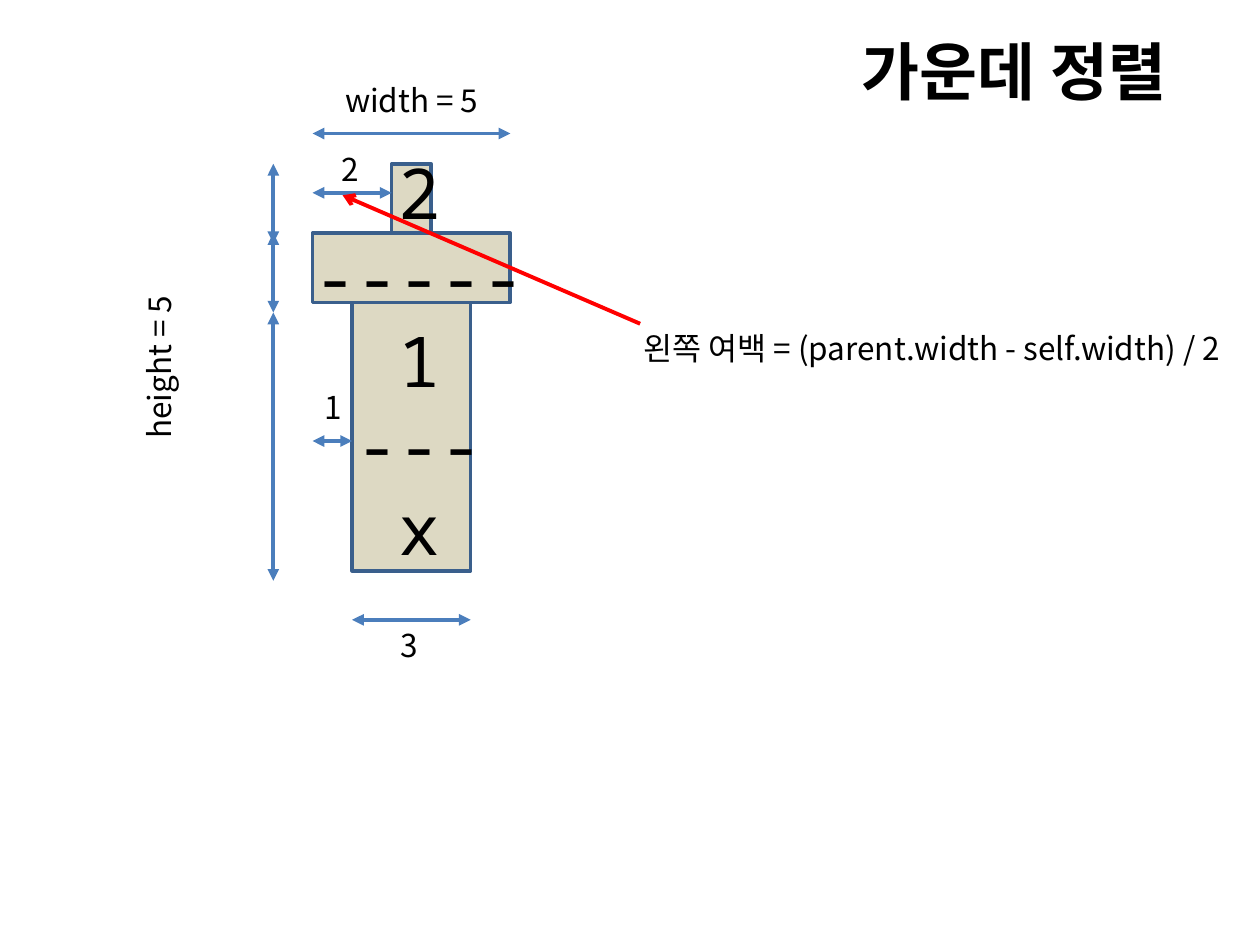
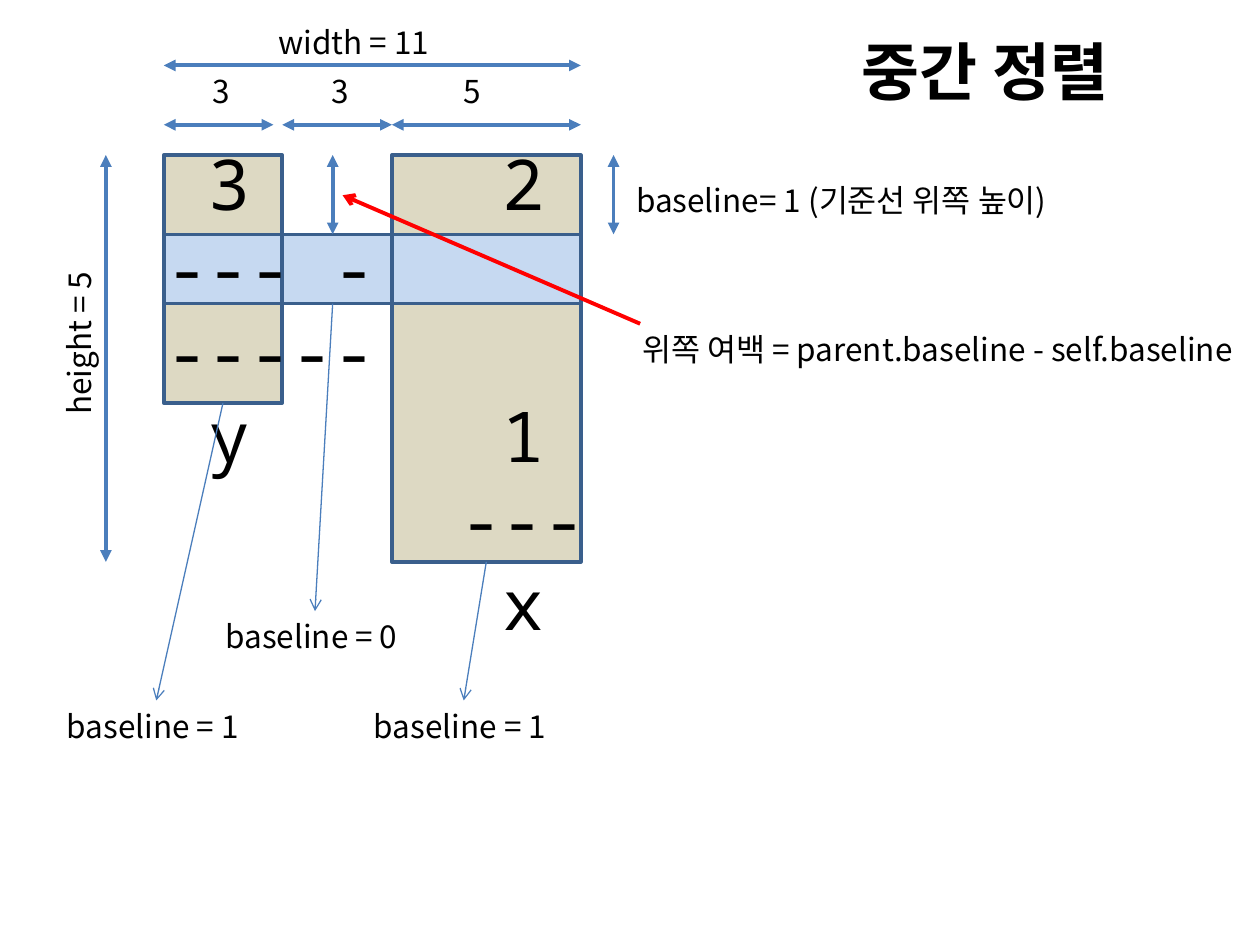
import dataclasses
import lxml.etree
import pptx
import pptx.dml.color
import pptx.enum.shapes
import pptx.enum.text
import pptx.oxml.ns
import pptx.util

Pt = pptx.util.Pt
qn = pptx.oxml.ns.qn


@dataclasses.dataclass(frozen=True)
class Theme:
    ink: str = "000000"
    block: str = "DDD9C3"
    band: str = "C6D9F1"
    outline: str = "3A5F8C"
    measure: str = "4B7EBC"
    accent: str = "FF0000"
    sans: str = "Noto Sans CJK KR"
    mono: str = "Noto Sans Mono"
    title_size: int = 36
    label_size: int = 18
    grid_size: int = 40
    label_height: float = 28.8
    digit_width: float = 24.5
    outline_width: float = 2
    measure_width: float = 2.25
    pointer_width: float = 0.75
    character: float = 24


class Diagram:
    def __init__(self, deck, theme):
        self.deck = deck
        self.theme = theme
        self.slide = None

    def start(self, title, width):
        self.slide = self.deck.slides.add_slide(self.deck.slide_layouts[5])
        heading = self.slide.shapes.title
        heading.left, heading.top, heading.width, heading.height = (
            Pt(485.3), Pt(15.1), Pt(width), Pt(51.1))
        frame = self.prepare(heading, False)
        self.add_words(frame.paragraphs[0], title, self.theme.title_size, self.theme.sans, True)

    def prepare(self, holder, wrap):
        frame = holder.text_frame
        frame.word_wrap = wrap
        frame.auto_size = pptx.enum.text.MSO_AUTO_SIZE.SHAPE_TO_FIT_TEXT
        frame.vertical_anchor = pptx.enum.text.MSO_ANCHOR.TOP
        frame.paragraphs[0].alignment = pptx.enum.text.PP_ALIGN.LEFT
        return frame

    def add_words(self, paragraph, words, size, face, bold=False):
        run = paragraph.add_run()
        run.text = words
        run.font.size = Pt(size)
        run.font.bold = bold
        run.font.color.rgb = pptx.dml.color.RGBColor.from_string(self.theme.ink)
        run.font.name = face
        lxml.etree.SubElement(run._r.get_or_add_rPr(), qn("a:ea"), typeface=face)

    def label(self, words, left, top, width=None, rotation=0):
        box = self.slide.shapes.add_textbox(
            Pt(left), Pt(top), Pt(width or self.theme.digit_width), Pt(self.theme.label_height))
        box.rotation = rotation
        frame = self.prepare(box, False)
        self.add_words(frame.paragraphs[0], words, self.theme.label_size, self.theme.sans)

    def character_grid(self, rows, left, top, width, height):
        box = self.slide.shapes.add_textbox(Pt(left), Pt(top), Pt(width), Pt(height))
        frame = self.prepare(box, True)
        for index, row in enumerate(rows):
            paragraph = frame.paragraphs[0] if index == 0 else frame.add_paragraph()
            columns = [column for column, words in row if column]
            if columns:
                stops = lxml.etree.SubElement(paragraph._p.get_or_add_pPr(), qn("a:tabLst"))
                for column in columns:
                    lxml.etree.SubElement(
                        stops, qn("a:tab"),
                        pos=str(int(Pt(column * self.theme.character))), algn="l")
            for column, words in row:
                self.add_words(paragraph, ("\t" if column else "") + words,
                               self.theme.grid_size, self.theme.mono)

    def block(self, left, top, width, height, color=None):
        shape = self.slide.shapes.add_shape(
            pptx.enum.shapes.MSO_SHAPE.RECTANGLE, Pt(left), Pt(top), Pt(width), Pt(height))
        shape.shadow.inherit = False
        shape.fill.solid()
        shape.fill.fore_color.rgb = pptx.dml.color.RGBColor.from_string(color or self.theme.block)
        shape.line.color.rgb = pptx.dml.color.RGBColor.from_string(self.theme.outline)
        shape.line.width = Pt(self.theme.outline_width)

    def line(self, start, end, color, width, **ends):
        connector = self.slide.shapes.add_connector(
            pptx.enum.shapes.MSO_CONNECTOR.STRAIGHT, *map(Pt, start + end))
        connector.line.color.rgb = pptx.dml.color.RGBColor.from_string(color)
        connector.line.width = Pt(width)
        properties = connector.element.spPr
        stroke = properties.find(qn("a:ln"))
        for end_name, style in ends.items():
            lxml.etree.SubElement(stroke, qn(f"a:{end_name}"), type=style)
        lxml.etree.SubElement(properties, qn("a:effectLst"))

    def measure(self, start, end):
        self.line(start, end, self.theme.measure, self.theme.measure_width,
                  headEnd="triangle", tailEnd="triangle")

    def pointer(self, start, end):
        self.line(start, end, self.theme.measure, self.theme.pointer_width, tailEnd="arrow")

    def margin_formula(self, words, left, top, width):
        self.label(words, left, top, width)
        self.line((365.8, 185), (195.8, 111.6), self.theme.accent,
                  self.theme.measure_width, tailEnd="arrow")


def center_alignment(diagram):
    diagram.start("가운데 정렬", 208.8)
    column, left = 22.6, 178.6
    numerator_top, bar_top, denominator_top = 93.6, 133.2, 172.8
    numerator_left, denominator_left = left + 2 * column, left + column
    denominator_right = left + 4 * column
    diagram.block(numerator_left, numerator_top, column, 39.6)
    diagram.block(left, bar_top, 5 * column, 39.6)
    diagram.block(denominator_left, denominator_top, 3 * column, 153.4)
    diagram.character_grid(
        [[(2, "2")], [(0, "-----")], [(2, "1")], [(1, "---")], [(2, "x")]],
        172.8, 82.1, 136.1, 249.8)

    for top, bottom in ((93.6, 139), (133.2, 178.6), (178.6, 331.9)):
        diagram.measure((156.2, top), (156.2, bottom))
    for start, end, y in ((left, left + 5 * column, 76.3),
                          (left, numerator_left, 110.2),
                          (left, denominator_left, 252),
                          (denominator_left, denominator_right, 354.2)):
        diagram.measure((start, y), (end, y))

    diagram.label("height = 5", 39.6, 192.2, 102.2, 270)
    diagram.label("width = 5", 190.1, 42.5, 95.8)
    for digit, x, y in (("2", 187.9, 82.1), ("1", 178.6, 218.2), ("3", 221.8, 354.2)):
        diagram.label(digit, x, y)
    diagram.margin_formula("왼쪽 여백 = (parent.width - self.width) / 2", 360.7, 184.3, 359.3)


def middle_alignment(diagram):
    diagram.start("중간 정렬", 172.8)
    band = diagram.theme.band
    top, band_top, band_height = 88.6, 133.9, 39.6
    band_bottom = band_top + band_height
    left, left_end, right, right_end = 93.6, 161.3, 223.9, 331.9
    left_bottom, right_bottom = 230.4, 321.1
    diagram.block(right, top, right_end - right, right_bottom - top)
    diagram.block(right, band_top, right_end - right, band_height, band)
    diagram.block(left_end, band_top, right - left_end, band_height, band)
    diagram.block(left, top, left_end - left, left_bottom - top)
    diagram.block(left, band_top, left_end - left, band_height, band)
    diagram.character_grid(
        [[(1, "3"), (8, "2")], [(0, "--- - -----")], [(1, "y"), (8, "1")],
         [(7, "---")], [(8, "x")]],
        87.8, 77, 260.6, 249.8)

    for x, bottom in ((60.5, right_bottom), (350.6, band_top), (190.1, band_top)):
        diagram.measure((x, top), (x, bottom))
    for start, end, y in ((left, 156.2, 71.3), (left_end, right, 71.3),
                          (right, right_end, 71.3), (left, right_end, 37.4)):
        diagram.measure((start, y), (end, y))

    diagram.label("baseline= 1 (기준선 위쪽 높이)", 356.4, 100.1, 274.3)
    for digit, x in (("3", 114.5), ("3", 182.2), ("5", 257.8)):
        diagram.label(digit, x, 37.4)
    diagram.label("height = 5", -5.8, 178.6, 102.2, 270)
    diagram.label("width = 11", 151.9, 9.4, 105.8)
    for value, label_left, start, end in (
            (1, 31, (127.4, left_bottom), (89.3, 400.3)),
            (0, 121.7, (190.1, band_bottom), (180, 349.2)),
            (1, 206.6, (277.9, right_bottom), (265, 400.3))):
        diagram.pointer(start, end)
        diagram.label(f"baseline = {value}", label_left, end[1], 116.6)
    diagram.margin_formula("위쪽 여백 = parent.baseline - self.baseline", 360, 185, 360)


def main():
    deck = pptx.Presentation()
    deck.slide_width, deck.slide_height = Pt(720), Pt(540)
    diagram = Diagram(deck, Theme())
    center_alignment(diagram)
    middle_alignment(diagram)
    deck.save("out.pptx")


if __name__ == "__main__":
    main()
